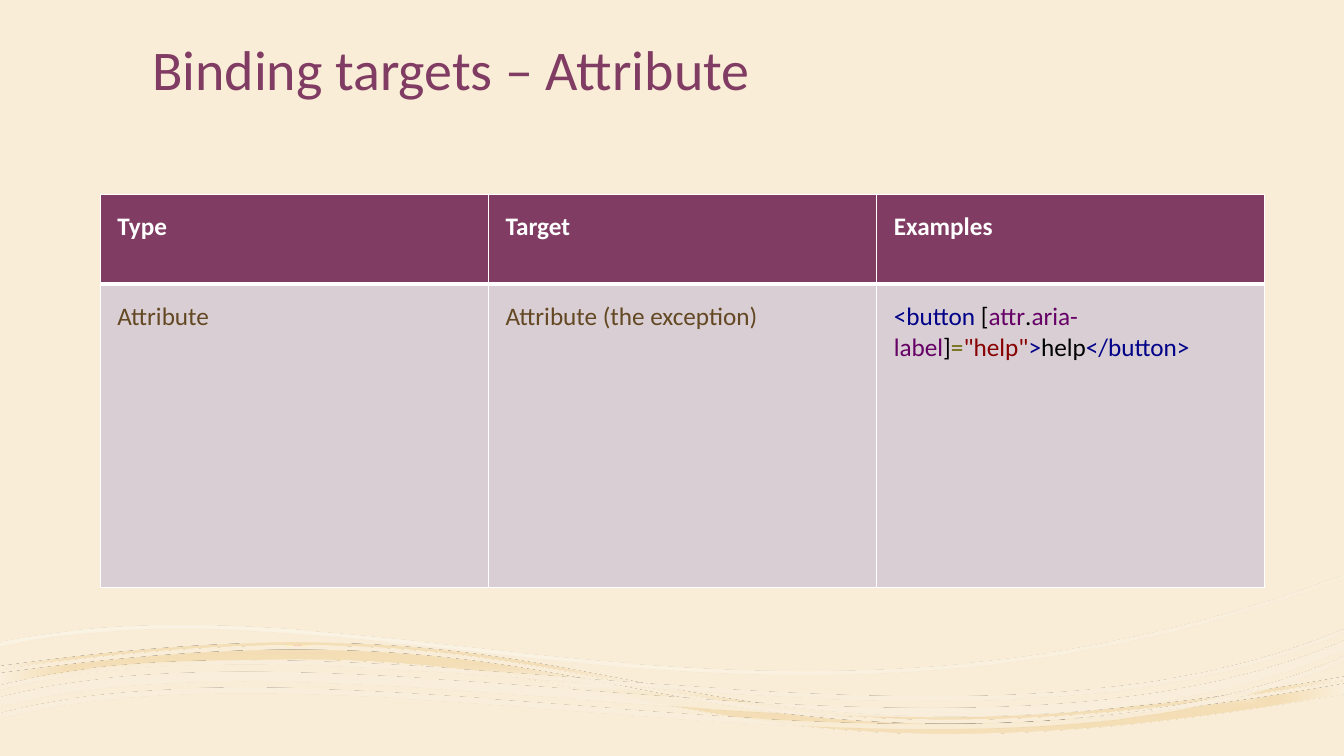
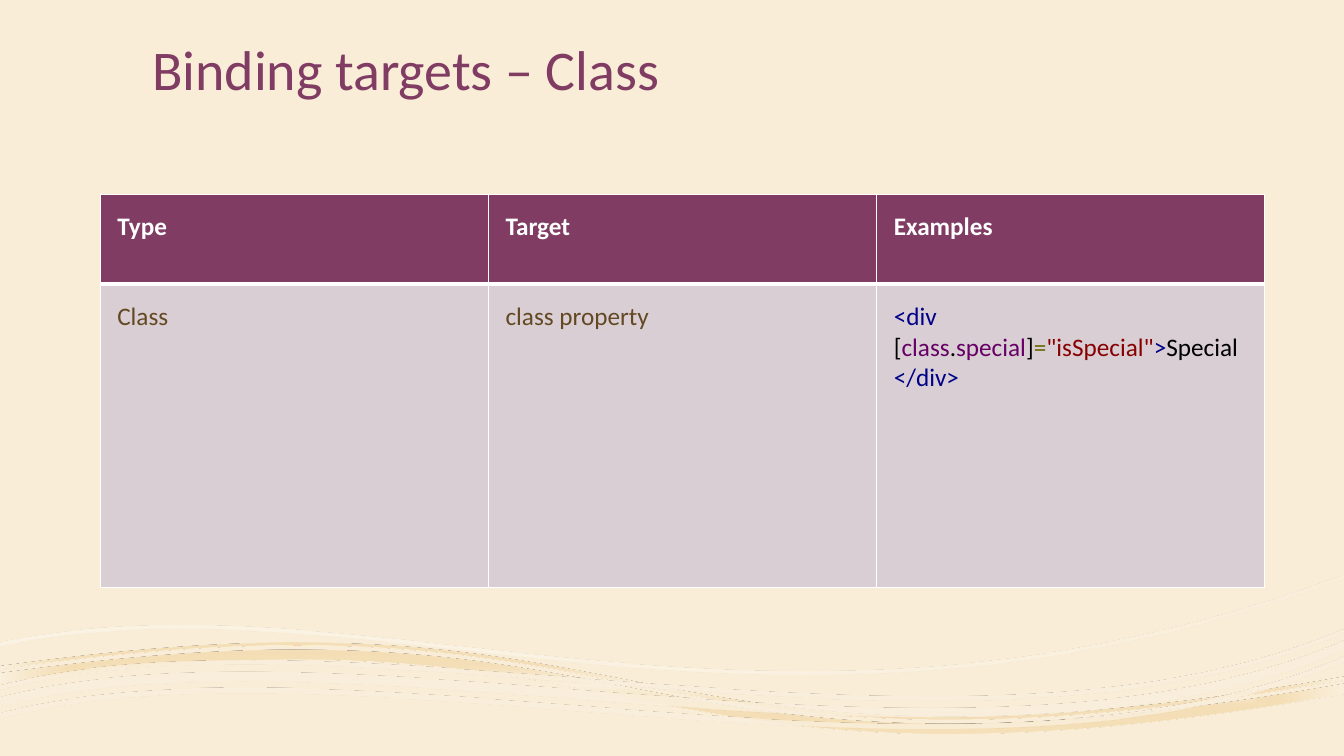
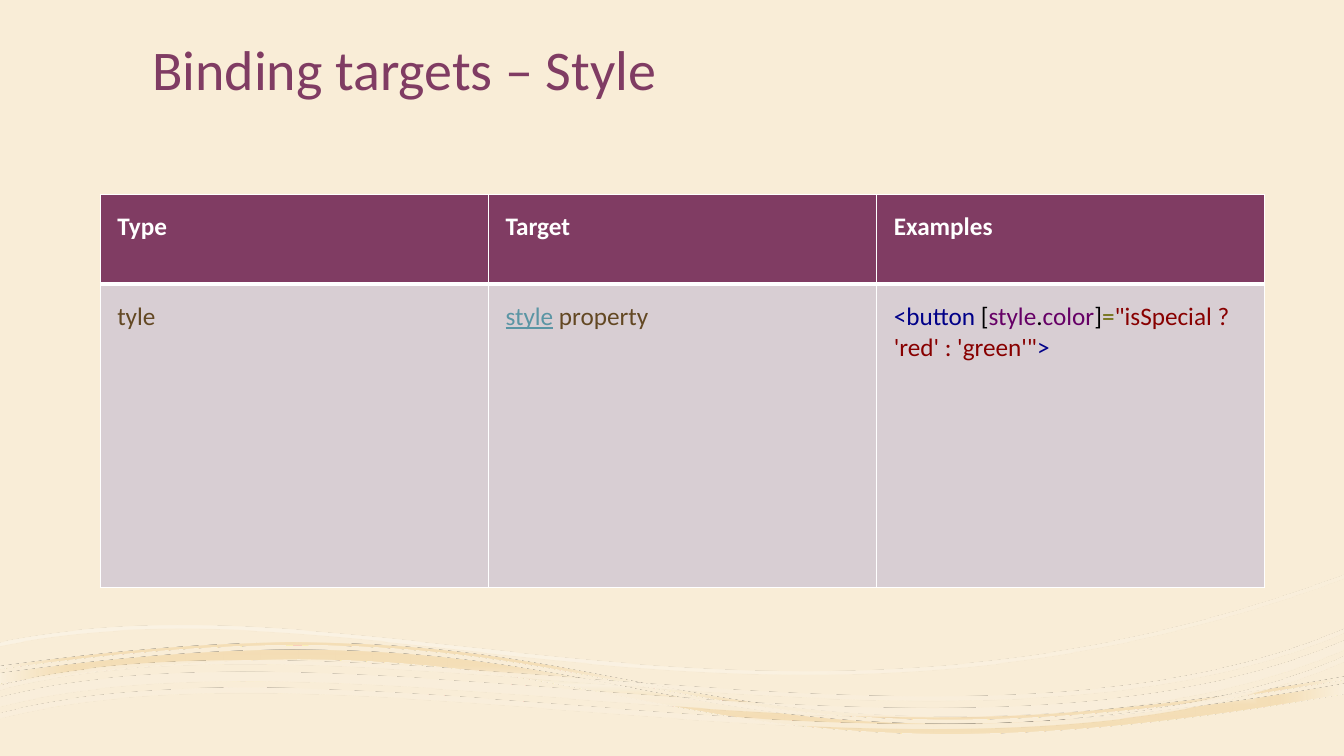
from math import cos, radians, sin

from pptx import Presentation
from pptx.dml.color import RGBColor
from pptx.enum.text import MSO_ANCHOR
from pptx.oxml import parse_xml
from pptx.oxml.ns import nsdecls, qn
from pptx.util import Inches, Pt


class Theme:
    font = "Calibri"
    title_size = Pt(40)
    table_size = Pt(18)
    paper = "F9EDD7"
    accent = "803C63"
    cell = "D8CED3"
    rule = "FFFFFF"
    header = "FFFFFF"
    body = "634823"
    link = "5A95A4"
    tag = "000088"
    plain = "000000"
    name = "660066"
    sign = "666600"
    value = "880000"


deck = Presentation()
deck.slide_width = Inches(13.33)
deck.slide_height = Inches(7.5)
column = deck.slide_width / 100
row = deck.slide_height / 100
tilt = -3.5
blank = deck.slide_layouts[6]
blank.background.fill.solid()
blank.background.fill.fore_color.rgb = RGBColor.from_string(Theme.paper)


def level(edge, shift, frame):
    left, top, width, height = frame
    turn = radians(-tilt)
    points = []
    for x, y in edge:
        across = (x - left - width / 2) * column
        down = (y + shift - top - height / 2) * row
        points.append((round((left + width / 2) * column + across * cos(turn) - down * sin(turn)),
                       round((top + height / 2) * row + across * sin(turn) + down * cos(turn))))
    return points


def style(para, size, color, bold=False):
    para.font.name = Theme.font
    para.font.size = size
    para.font.bold = bold
    para.font.color.rgb = RGBColor.from_string(color)


crest = [(0, 89.07), (9.3, 86.8), (16.65, 85.87), (22.95, 86),
         (50.25, 86.27), (55.35, 104.27), (100, 90.4)]
trough = [(0, 90.4), (50, 77.73), (45.15, 108.8), (100, 91.73)]
sweep = [(0, 84.93), (27.98, 74.53), (56.55, 104.53), (100, 76)]
swell = [(0, 90.67), (26.18, 78.53), (71.63, 104.8), (100, 83.2)]

ribbons = [
    ((0.08, 81.6, 99.85, 18),
     [(crest, 0, trough, 0), (crest, -0.93, trough, -1.87)],
     [(0, "FAF1DF", 90), (18, "F4DEB7", 100), (37, "F4DDB3", 90), (100, "FAF1DF", 100)],
     '<a:path path="shape"><a:fillToRect l="50000" t="50000" r="50000" b="50000"/></a:path>'),
    ((0.23, 78.4, 100.15, 22.8),
     [(sweep, 0, sweep, 0.47)],
     [(36, "FFFFFF", 30), (100, "F9EDD7", 48)],
     '<a:lin ang="2700000" scaled="0"/>'),
    ((-0.08, 83.33, 100.23, 15.33),
     [(swell, top, swell, bottom) for top, bottom in ((3.6, 4.27), (1.53, 2.73), (0, 0.53))],
     [(36, "FFFFFF", 47), (100, "FAEFDC", 82)],
     '<a:path path="rect"><a:fillToRect l="100000" t="100000"/></a:path>'),
]

topics = [
    ("Attribute", [("Attribute", Theme.body)], [("Attribute (the exception)", Theme.body)],
     [("<button", Theme.tag), (" [", Theme.plain), ("attr", Theme.name), (".", Theme.plain),
      ("aria-label", Theme.name), ("]", Theme.plain), ("=", Theme.sign), ('"help"', Theme.value),
      (">", Theme.tag), ("help", Theme.plain), ("</button>", Theme.tag)]),
    ("Class", [("Class", Theme.body)], [("class property", Theme.body)],
     [("<div", Theme.tag), (" [", Theme.plain), ("class", Theme.name), (".", Theme.plain),
      ("special", Theme.name), ("]", Theme.plain), ("=", Theme.sign), ('"isSpecial"', Theme.value),
      (">", Theme.tag), ("Special", Theme.plain), ("</div>", Theme.tag)]),
    ("Style", [("tyle", Theme.body)], [("style", Theme.link), (" property", Theme.body)],
     [("<button", Theme.tag), (" [", Theme.plain), ("style", Theme.name), (".", Theme.plain),
      ("color", Theme.name), ("]", Theme.plain), ("=", Theme.sign),
      ("\"isSpecial ? 'red' : 'green'\"", Theme.value), (">", Theme.tag)]),
]
headings = [[(heading, Theme.header)] for heading in ("Type", "Target", "Examples")]
column_width = round(28.89 * column)
row_heights = [round(11.87 * row), round(40.13 * row)]
inset = round(1.28 * column)

pages = [deck.slides.add_slide(blank) for topic in topics]

for frame, strands, stops, direction in ribbons:
    builder = None
    bends = []
    for upper, upper_shift, lower, lower_shift in strands:
        top_edge = level(upper, upper_shift, frame)
        bottom_edge = level(lower, lower_shift, frame)[::-1]
        if builder is None:
            builder = pages[0].shapes.build_freeform(*top_edge[0])
        else:
            builder.move_to(*top_edge[0])
        builder.add_line_segments(top_edge[1:] + bottom_edge, close=True)
        for edge in (top_edge, bottom_edge):
            bends += [edge[first:first + 4] for first in range(0, len(edge) - 1, 3)]
    ribbon = builder.convert_to_shape()
    properties = ribbon.element.spPr
    outline = next(properties.iter(qn("a:path")))
    corner = (ribbon.left, ribbon.top)
    ribbon.left, ribbon.width = round(frame[0] * column), round(frame[2] * column)
    ribbon.top, ribbon.height = round(frame[1] * row), round(frame[3] * row)
    ribbon.rotation = tilt
    outline.set("w", str(ribbon.width))
    outline.set("h", str(ribbon.height))
    for point in outline.iter(qn("a:pt")):
        point.set("x", str(int(point.get("x")) + corner[0] - ribbon.left))
        point.set("y", str(int(point.get("y")) + corner[1] - ribbon.top))
    segments = {}
    for segment in outline.findall(qn("a:lnTo")):
        point = segment[0]
        place = (int(point.get("x")) + ribbon.left, int(point.get("y")) + ribbon.top)
        segments[place] = segment
    for start, first_handle, second_handle, end in bends:
        curve = segments[first_handle]
        curve.addprevious(bend := parse_xml(f'<a:cubicBezTo {nsdecls("a")}/>'))
        for place in (first_handle, second_handle, end):
            segment = segments[place]
            bend.append(segment[0])
            outline.remove(segment)

    ribbon.shadow.inherit = False
    ribbon.line.fill.background()
    ribbon.fill.background()
    stop_list = "".join(
        f'<a:gs pos="{place * 1000}"><a:srgbClr val="{color}">'
        f'<a:alpha val="{opacity * 1000}"/></a:srgbClr></a:gs>'
        for place, color, opacity in stops)
    gradient = parse_xml(f'<a:gradFill {nsdecls("a")} rotWithShape="1">'
                         f'<a:gsLst>{stop_list}</a:gsLst>{direction}</a:gradFill>')
    properties.replace(properties.find(qn("a:noFill")), gradient)
    blank.shapes.element.append(ribbon.element)

for page, (topic, kind, target, example) in zip(pages, topics):
    title = page.shapes.add_textbox(round(10.58 * column), round(4.4 * row),
                                    round(78.75 * column), round(9.87 * row))
    title.text_frame.word_wrap = True
    title.text_frame.vertical_anchor = MSO_ANCHOR.BOTTOM
    para = title.text_frame.paragraphs[0]
    para.text = f"Binding targets – {topic}"
    para.line_spacing = 0.9
    style(para, Theme.title_size, Theme.accent)

    table = page.shapes.add_table(2, 3, round(7.45 * column), round(25.73 * row),
                                  3 * column_width, sum(row_heights)).table
    table.horz_banding = False
    for table_column in table.columns:
        table_column.width = column_width
    for line, texts in enumerate((headings, (kind, target, example))):
        is_header = line == 0
        table.rows[line].height = row_heights[line]
        for cell, spans in zip(table.rows[line].cells, texts):
            cell.margin_left = cell.margin_right = inset
            cell.margin_top = cell.margin_bottom = inset
            cell.fill.solid()
            cell.fill.fore_color.rgb = RGBColor.from_string(
                Theme.accent if is_header else Theme.cell)
            para = cell.text_frame.paragraphs[0]
            style(para, Theme.table_size, Theme.header if is_header else Theme.body, is_header)
            for text, color in spans:
                span = para.add_run()
                span.text = text
                span.font.color.rgb = RGBColor.from_string(color)
                if color == Theme.link:
                    span.font.underline = True
            for place, side in enumerate("LRTB"):
                width = Pt(3 if is_header and side == "B" else 1)
                cell._tc.get_or_add_tcPr().insert(place, parse_xml(
                    f'<a:ln{side} {nsdecls("a")} w="{width}"><a:solidFill>'
                    f'<a:srgbClr val="{Theme.rule}"/></a:solidFill></a:ln{side}>'))

deck.save("out.pptx")
